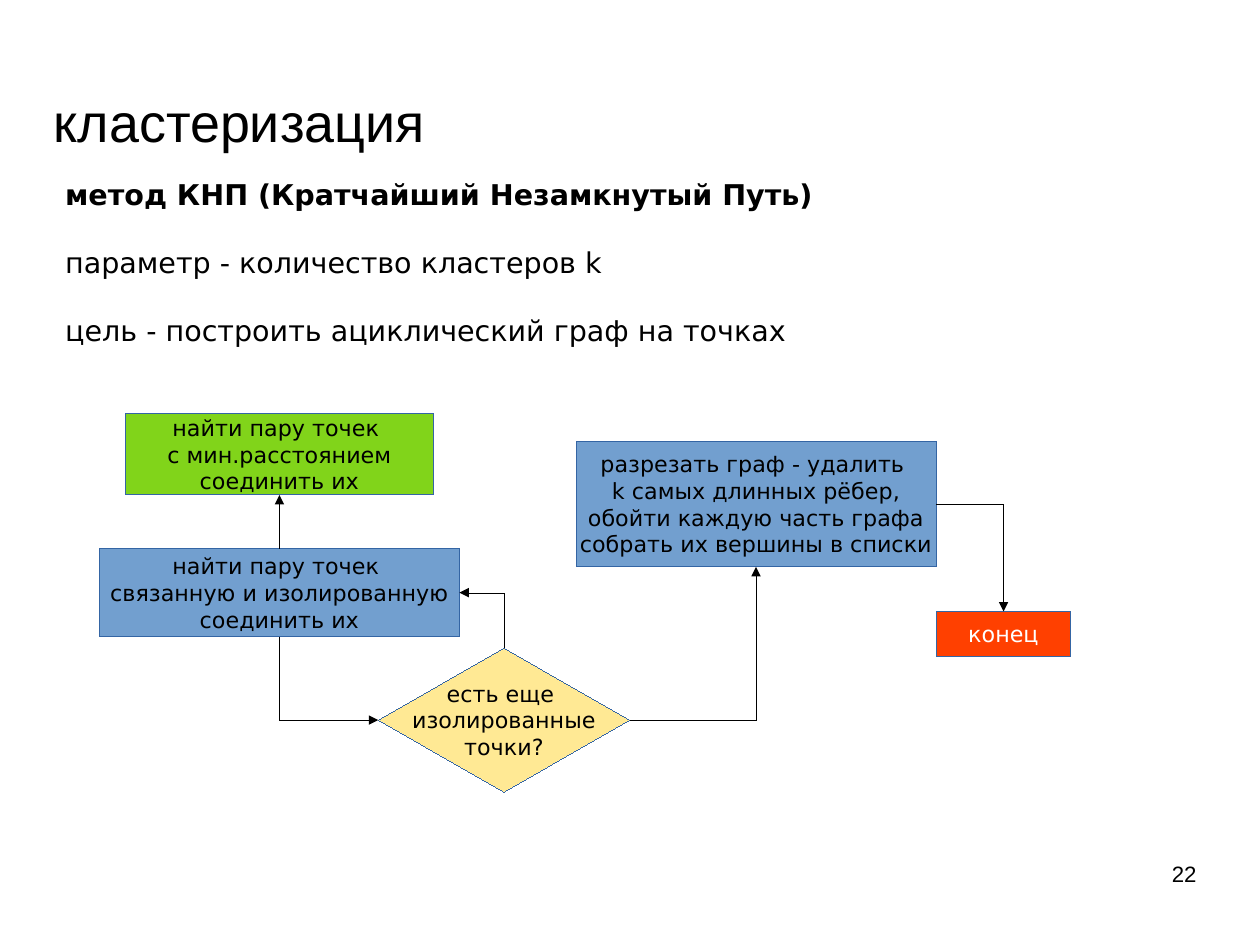
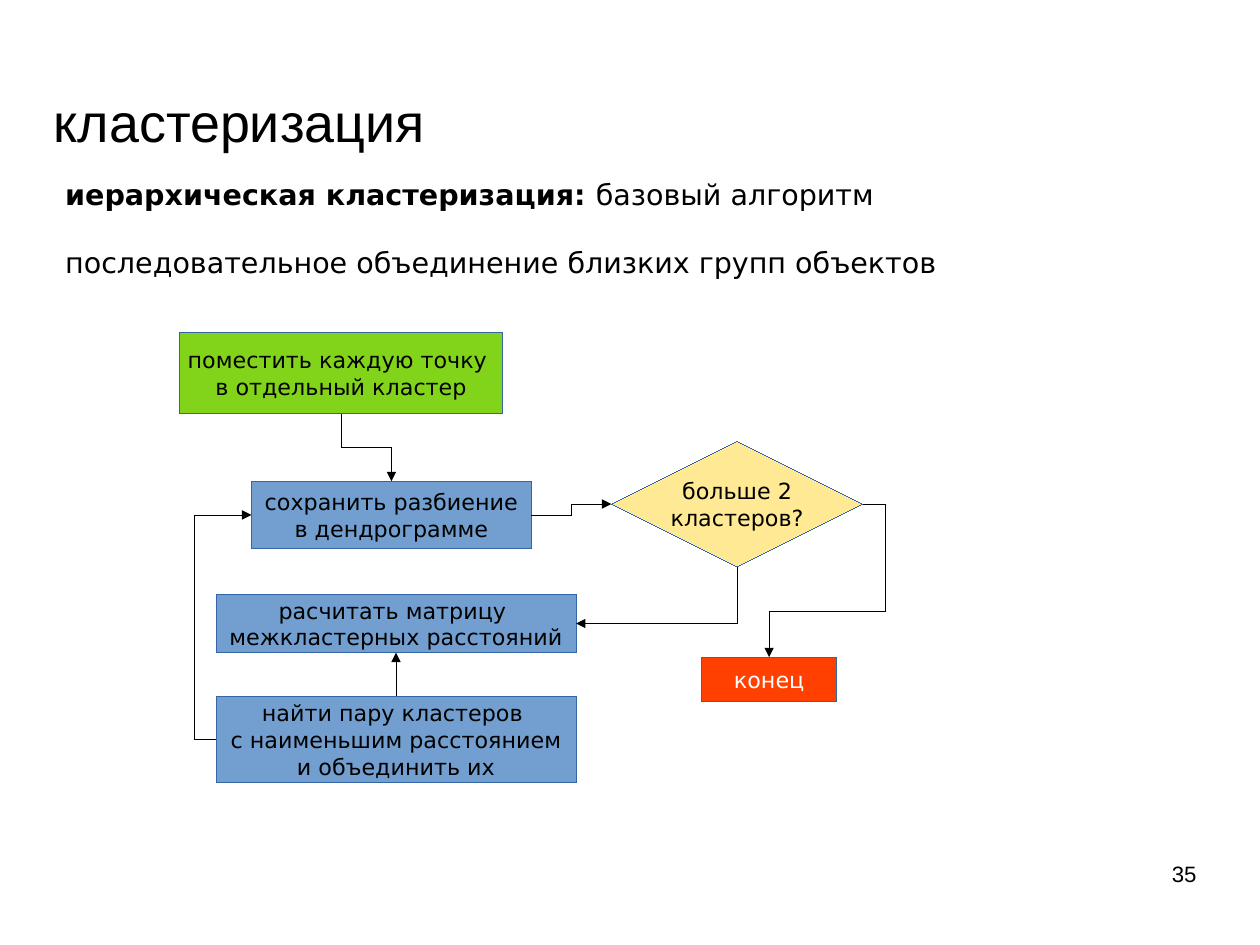
from dataclasses import dataclass

from lxml import etree
from pptx import Presentation
from pptx.dml.color import RGBColor
from pptx.enum.shapes import MSO_CONNECTOR, MSO_SHAPE
from pptx.enum.text import MSO_ANCHOR, MSO_AUTO_SIZE, PP_ALIGN
from pptx.oxml.ns import qn
from pptx.util import Inches, Pt

RECT, DIAMOND = MSO_SHAPE.RECTANGLE, MSO_SHAPE.DIAMOND
ELBOW, STRAIGHT = MSO_CONNECTOR.ELBOW, MSO_CONNECTOR.STRAIGHT
MIDDLE, TOP_SIDE = MSO_ANCHOR.MIDDLE, MSO_ANCHOR.TOP
LEFT_AL, CENTER, RIGHT_AL = PP_ALIGN.LEFT, PP_ALIGN.CENTER, PP_ALIGN.RIGHT
FIXED = MSO_AUTO_SIZE.NONE
TOP, LEFT, BOTTOM, RIGHT = range(4)
SANS, ARIAL = "DejaVu Sans", "Arial"
COLORS = {
    "step": "729FCF",
    "start": "81D41A",
    "test": "FFE994",
    "end": "FF4000",
    "edge": "3465A4",
    "black": "000000",
    "white": "FFFFFF",
}


@dataclass(frozen=True)
class Node:
    key: str
    kind: str
    left: float
    top: float
    width: float
    height: float
    lines: tuple[str, ...]


@dataclass(frozen=True)
class Link:
    tail: str
    exit: int
    head: str
    entry: int
    bends: tuple[float, ...] = ()


@dataclass(frozen=True)
class Page:
    number: int
    width: float
    height: float
    body: tuple[tuple[str, str], ...]
    nodes: tuple[Node, ...]
    links: tuple[Link, ...]


PAGES = (
    Page(
        22, 7.24, 1.55,
        (
            ("метод КНП (Кратчайший Незамкнутый Путь)", ""),
            ("", "параметр - количество кластеров k"),
            ("", "цель - построить ациклический граф на точках"),
        ),
        (
            Node("join", "step", 0.87, 4.8, 3.15, 0.77,
                 ("найти пару точек ", "связанную и изолированную", "соединить их")),
            Node("end", "end", 8.19, 5.35, 1.18, 0.39, ("конец",)),
            Node("more", "test", 3.31, 5.67, 2.2, 1.26,
                 ("есть еще ", "изолированные", "точки?")),
            Node("first", "start", 1.1, 3.62, 2.69, 0.71,
                 ("найти пару точек ", "с мин.расстоянием", "соединить их")),
            Node("cut", "step", 5.04, 3.86, 3.15, 1.1,
                 ("разрезать граф - удалить ", "k самых длинных рёбер,",
                  "обойти каждую часть графа", "собрать их вершины в списки")),
        ),
        (
            Link("join", BOTTOM, "more", LEFT),
            Link("more", TOP, "join", RIGHT),
            Link("more", RIGHT, "cut", BOTTOM),
            Link("join", TOP, "first", BOTTOM),
            Link("cut", RIGHT, "end", TOP),
        ),
    ),
    Page(
        35, 8.27, 0.97,
        (
            ("иерархическая кластеризация: ", "базовый алгоритм"),
            ("", "последовательное объединение близких групп объектов"),
        ),
        (
            Node("merge", "step", 1.89, 6.09, 3.15, 0.76,
                 ("найти пару кластеров ", "с наименьшим расстоянием", "и объединить их")),
            Node("end", "end", 6.14, 5.75, 1.18, 0.39, ("конец",)),
            Node("more", "test", 5.35, 3.86, 2.2, 1.1, ("больше 2", "кластеров?")),
            Node("first", "start", 1.57, 2.91, 2.83, 0.71,
                 ("поместить каждую точку ", "в отдельный кластер")),
            Node("matrix", "step", 1.89, 5.2, 3.15, 0.51,
                 ("расчитать матрицу ", "межкластерных расстояний")),
            Node("save", "step", 2.2, 4.21, 2.45, 0.59,
                 ("сохранить разбиение", "в дендрограмме")),
        ),
        (
            Link("more", BOTTOM, "matrix", RIGHT),
            Link("more", RIGHT, "end", TOP, (-0.24, 0.7)),
            Link("first", BOTTOM, "save", TOP, (0.5,)),
            Link("merge", TOP, "matrix", BOTTOM),
            Link("save", RIGHT, "more", LEFT, (0.5,)),
            Link("merge", LEFT, "save", LEFT, (-0.63,)),
        ),
    ),
)


def paint(name: str) -> RGBColor:
    return RGBColor.from_string(COLORS[name])


def style(para, face: str, size: float, align, color: str = "black") -> None:
    para.alignment = align
    para.font.name = face
    para.font.size = Pt(size)
    para.font.color.rgb = paint(color)


def place(shape, left: float, top: float, width: float, height: float) -> None:
    shape.left, shape.top = Inches(left), Inches(top)
    shape.width, shape.height = Inches(width), Inches(height)


def inset(frame, side: float, edge: float, anchor) -> None:
    frame.margin_left = frame.margin_right = Inches(side)
    frame.margin_top = frame.margin_bottom = Inches(edge)
    frame.vertical_anchor = anchor
    frame.word_wrap = True
    frame.auto_size = FIXED


def trace(shape, color: str):
    shape.line.color.rgb = paint(color)
    stroke = shape._element.spPr.find(qn("a:ln"))
    stroke.set("w", "0")
    return stroke


def add_title(slide) -> None:
    title = slide.shapes.title
    place(title, 0.47, 0.79, 7.56, 0.54)
    frame = title.text_frame
    inset(frame, 0, 0, MIDDLE)
    frame.text = "кластеризация"
    style(frame.paragraphs[0], ARIAL, 33.9, LEFT_AL)


def add_body(slide, page: Page) -> None:
    body = slide.placeholders[1]
    place(body, 0.47, 1.5, page.width, page.height)
    frame = body.text_frame
    inset(frame, 0.1, 0.05, TOP_SIDE)
    for row, parts in enumerate(page.body):
        para = frame.add_paragraph() if row else frame.paragraphs[0]
        props = para._p.get_or_add_pPr()
        props.set("marL", "0")
        props.set("indent", "0")
        etree.SubElement(props, qn("a:buNone"))
        para.space_before = Pt(21.2 if row else 0)
        style(para, SANS, 18, LEFT_AL)
        for text, bold in zip(parts, (True, False)):
            if text:
                run = para.add_run()
                run.text = text
                run.font.bold = bold


def add_node(slide, node: Node):
    form = DIAMOND if node.kind == "test" else RECT
    shape = slide.shapes.add_shape(form, 0, 0, 0, 0)
    place(shape, node.left, node.top, node.width, node.height)
    shape.fill.solid()
    shape.fill.fore_color.rgb = paint(node.kind)
    trace(shape, "edge")
    shape.shadow.inherit = False
    frame = shape.text_frame
    inset(frame, 0.1, 0.05, MIDDLE)
    frame.word_wrap = False
    frame.text = "\n".join(node.lines)
    color = "white" if node.kind == "end" else "black"
    for para in frame.paragraphs:
        style(para, SANS, 14, CENTER, color)
    return shape


def bend(line, link: Link) -> None:
    x, y = line.begin_x, line.begin_y
    dx, dy = line.end_x - x, line.end_y - y
    wide, high = abs(dx), abs(dy)
    turn, flips = 0, (dx < 0, dy < 0)
    if link.exit in (TOP, BOTTOM):
        wide, high = high, wide
        turn, flips = 270, (dy > 0, dx < 0)
        if all(flips):
            turn, flips = 90, (False, False)
    line.left, line.top = x + (dx - wide) // 2, y + (dy - high) // 2
    line.width, line.height = wide, high
    props = line._element.spPr
    frame = props.find(qn("a:xfrm"))
    frame.set("rot", str(turn * 60000))
    for name, flip in zip(("flipH", "flipV"), flips):
        frame.set(name, str(int(flip)))
    form = props.find(qn("a:prstGeom"))
    form.set("prst", f"bentConnector{len(link.bends) + 2}")
    guides = form.find(qn("a:avLst"))
    for rank, part in enumerate(link.bends, 1):
        etree.SubElement(guides, qn("a:gd"), name=f"adj{rank}",
                         fmla=f"val {round(part * 100000)}")


def add_link(slide, link: Link, shapes: dict) -> None:
    tail, head = shapes[link.tail], shapes[link.head]
    plumb = (link.exit, link.entry) == (TOP, BOTTOM)
    line = slide.shapes.add_connector(STRAIGHT if plumb else ELBOW, 0, 0, 0, 0)
    line.begin_connect(tail, link.exit)
    line.end_connect(head, link.entry)
    if not plumb:
        bend(line, link)
    etree.SubElement(trace(line, "black"), qn("a:tailEnd"), type="triangle")
    etree.SubElement(line._element.spPr, qn("a:effectLst"))


def add_number(slide, number: int) -> None:
    box = slide.shapes.add_textbox(0, 0, 0, 0)
    place(box, 7.9, 7.53, 2.57, 0.57)
    frame = box.text_frame
    inset(frame, 0, 0, TOP_SIDE)
    frame.text = str(number)
    style(frame.paragraphs[0], ARIAL, 14, RIGHT_AL)


def main() -> None:
    deck = Presentation()
    deck.slide_width = Pt(793.75)
    deck.slide_height = Pt(595.25)
    for page in PAGES:
        slide = deck.slides.add_slide(deck.slide_layouts[1])
        add_title(slide)
        add_body(slide, page)
        shapes = {node.key: add_node(slide, node) for node in page.nodes}
        for link in page.links:
            add_link(slide, link, shapes)
        add_number(slide, page.number)
    deck.save("out.pptx")


if __name__ == "__main__":
    main()
